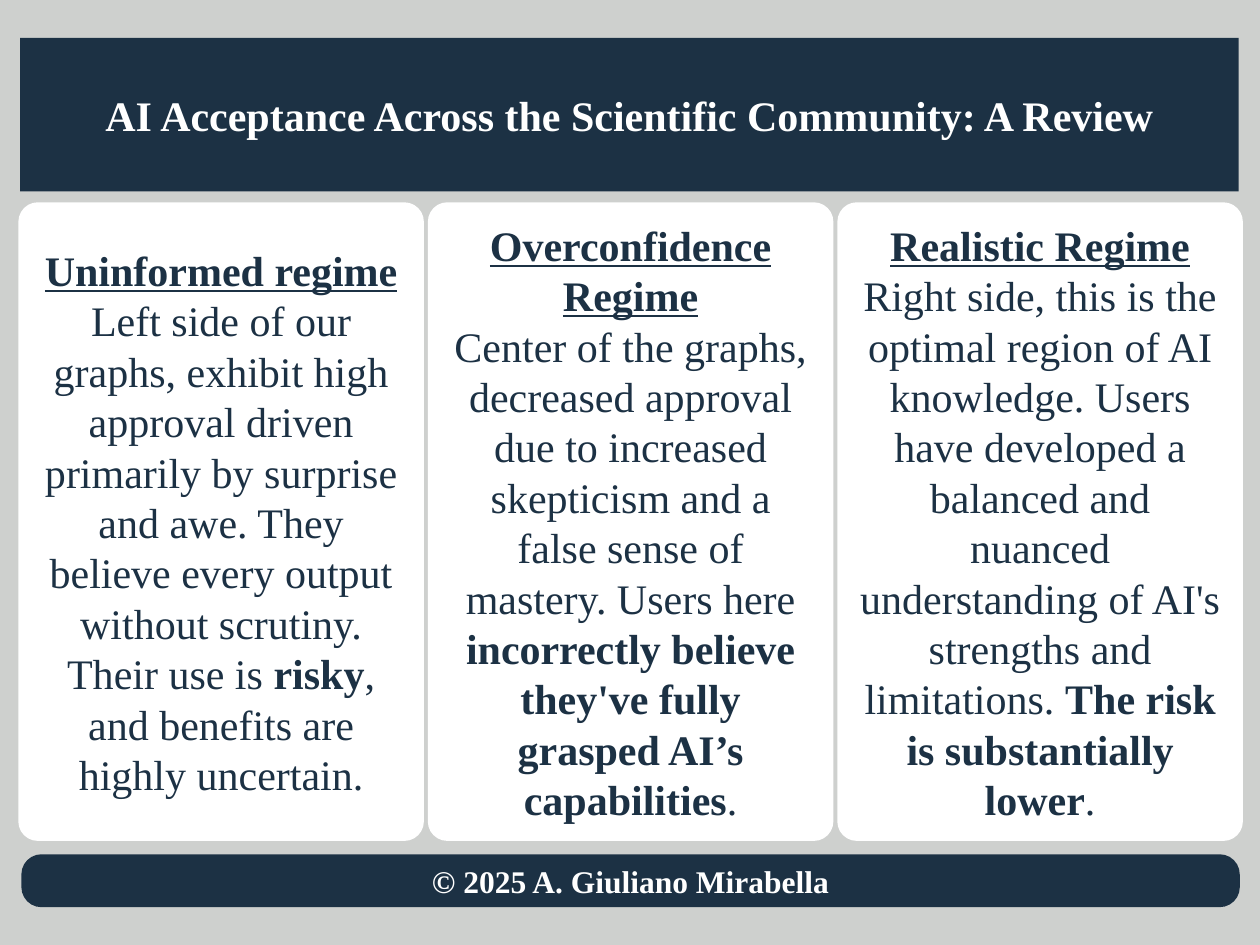
from lxml import etree
from pptx import Presentation
from pptx.dml.color import RGBColor
from pptx.enum.shapes import MSO_SHAPE as SHAPE
from pptx.enum.text import MSO_ANCHOR as ANCHOR, MSO_AUTO_SIZE as AUTO, PP_ALIGN as ALIGN
from pptx.oxml.ns import qn
from pptx.util import Inches, Pt

COLORS = {"back": "CED0CE", "navy": "1C3144", "white": "FFFFFF"}
FONT = "Times New Roman"
REGIMES = [
    ("Uninformed regime",
     "Left side of our graphs, exhibit high approval driven primarily by surprise and awe. "
     "They believe every output without scrutiny. Their use is ",
     "risky", ", and benefits are highly uncertain."),
    ("Overconfidence Regime",
     "Center of the graphs, decreased approval due to increased skepticism and a false sense "
     "of mastery. Users here ",
     "incorrectly believe they've fully grasped AI’s capabilities", "."),
    ("Realistic Regime",
     "Right side, this is the optimal region of AI knowledge. Users have developed a balanced "
     "and nuanced understanding of AI's strengths and limitations. ",
     "The risk is substantially lower", "."),
]


def rgb(name):
    return RGBColor.from_string(COLORS[name])


def paint(sp, color):
    sp.fill.solid()
    sp.fill.fore_color.rgb = rgb(color)
    tf = sp.text_frame
    tf.word_wrap = True
    tf.auto_size = AUTO.NONE
    tf.vertical_anchor = ANCHOR.MIDDLE
    return tf


def add_run(p, text, color, size=24, bold=False, underline=False):
    p.alignment = ALIGN.CENTER
    r = p.add_run()
    r.text = text
    r.font.name = FONT
    r.font.size = Pt(size)
    r.font.bold = bold
    r.font.underline = underline
    r.font.color.rgb = rgb(color)


def add_panel(s, box, radius):
    sp = s.shapes.add_shape(SHAPE.ROUNDED_RECTANGLE, *map(Inches, box))
    sp.adjustments[0] = radius
    sp.shadow.inherit = False
    return sp


def place_header(s, box, text):
    sp = s.shapes.title
    sp.left, sp.top, sp.width, sp.height = map(Inches, box)
    geom = etree.SubElement(sp.element.spPr, qn("a:prstGeom"), prst="roundRect")
    etree.SubElement(geom, qn("a:avLst"))
    tf = paint(sp, "navy")
    add_run(tf.paragraphs[0], text, "white", bold=True)


def place_footer(s, box, text):
    sp = add_panel(s, box, 0.38)
    sp.line.fill.background()
    tf = paint(sp, "navy")
    add_run(tf.paragraphs[0], text, "white", size=18, bold=True)


def place_regimes(s, box, regimes, gap=0.06):
    left, top, width, height = box
    col = (width - gap * (len(regimes) - 1)) / len(regimes)
    for i, (heading, body, stress, ending) in enumerate(regimes):
        sp = add_panel(s, (left + i * (col + gap), top, col, height), 0.044)
        sp.line.color.rgb = rgb("white")
        sp.line.width = Pt(2)
        tf = paint(sp, "white")
        add_run(tf.paragraphs[0], heading, "navy", bold=True, underline=True)
        p = tf.add_paragraph()
        add_run(p, body, "navy")
        add_run(p, stress, "navy", bold=True)
        add_run(p, ending, "navy")


def main():
    prs = Presentation()
    prs.slide_width, prs.slide_height = Inches(10), Inches(7.5)
    s = prs.slides.add_slide(prs.slide_layouts[5])
    s.background.fill.solid()
    s.background.fill.fore_color.rgb = rgb("back")
    place_header(s, (0.16, 0.3, 9.67, 1.22),
                 "AI Acceptance Across the Scientific Community: A Review")
    place_footer(s, (0.17, 6.78, 9.67, 0.42), "© 2025 A. Giuliano Mirabella")
    place_regimes(s, (0.16, 1.62, 9.69, 5.04), REGIMES)
    prs.save("out.pptx")


if __name__ == "__main__":
    main()
